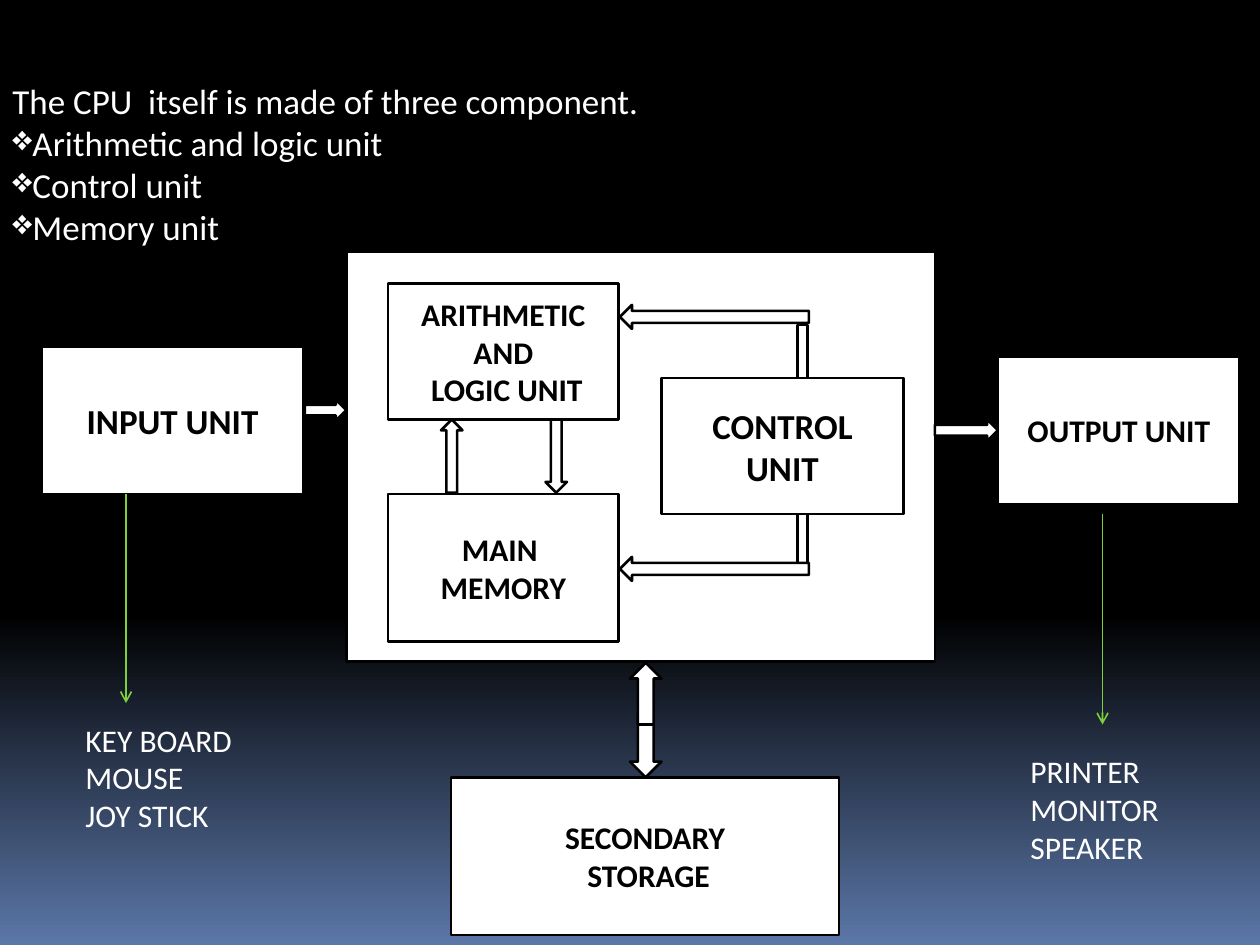
from lxml import etree
from pptx import Presentation
from pptx import util as u
from pptx.dml import color
from pptx.enum import shapes, text
from pptx.oxml import ns

COLORS = {"black": "000000", "white": "FFFFFF", "blue": "5B77A8", "green": "7FD13B"}
FONT = "Calibri"
RECT = shapes.MSO_SHAPE.RECTANGLE
DOWN = shapes.MSO_SHAPE.DOWN_ARROW
RIGHT = shapes.MSO_SHAPE.RIGHT_ARROW


def rgb(name):
    return color.RGBColor.from_string(COLORS[name])


def inches(*lengths):
    return [u.Inches(length) for length in lengths]


class Diagram:
    def __init__(self, page):
        self.page = page

    def background(self):
        fill = self.page.background.fill
        fill.gradient()
        fill.gradient_angle = 270
        for stop, name, position in zip(fill.gradient_stops, ("black", "blue"), (0.65, 1)):
            stop.color.rgb = rgb(name)
            stop.position = position

    def set_lines(self, frame, lines, size, ink, bold=False, align=None, bullets_from=None):
        for index, line in enumerate(lines):
            paragraph = frame.paragraphs[0] if index == 0 else frame.add_paragraph()
            paragraph.text = line
            paragraph.alignment = align
            font = paragraph.font
            font.name, font.size, font.bold = FONT, u.Pt(size), bold
            font.color.rgb = rgb(ink)
            if bullets_from is not None and index >= bullets_from:
                properties = paragraph._p.get_or_add_pPr()
                properties.set("marL", "0")
                properties.set("indent", "0")
                bullet = etree.Element(ns.qn("a:buChar"), char="❖")
                # A bullet must stand before the default run properties
                properties.insert_element_before(bullet, "a:defRPr")

    def label(self, at, lines, size, wrap=False, bullets_from=None):
        frame = self.page.shapes.add_textbox(*inches(*at)).text_frame
        frame.word_wrap = wrap
        frame.auto_size = text.MSO_AUTO_SIZE.SHAPE_TO_FIT_TEXT
        self.set_lines(frame, lines, size, "white", bullets_from=bullets_from)

    def block(self, at, kind=RECT, lines=(), size=18, rotation=0):
        shape = self.page.shapes.add_shape(kind, *inches(*at))
        shape.shadow.inherit = False
        shape.rotation = rotation
        shape.fill.solid()
        shape.fill.fore_color.rgb = rgb("white")
        shape.line.color.rgb = rgb("black")
        shape.line.width = u.Pt(1.5)
        frame = shape.text_frame
        frame.word_wrap = True
        frame.vertical_anchor = text.MSO_ANCHOR.MIDDLE
        self.set_lines(frame, lines, size, "black", True, text.PP_ALIGN.CENTER)

    def pointer(self, x, top, bottom):
        connector = self.page.shapes.add_connector(
            shapes.MSO_CONNECTOR.STRAIGHT, *inches(x, top, x, bottom))
        connector.line.color.rgb = rgb("green")
        connector.line.width = u.Pt(0.94)
        properties = connector._element.spPr
        etree.SubElement(properties.find(ns.qn("a:ln")), ns.qn("a:tailEnd"), type="arrow")
        etree.SubElement(properties, ns.qn("a:effectLst"))


def main():
    deck = Presentation()
    deck.slide_width, deck.slide_height = inches(10, 7.5)
    diagram = Diagram(deck.slides.add_slide(deck.slide_layouts[6]))
    diagram.background()

    # Introduction
    diagram.label((0, 0.58, 10, 1.45), [
        "The CPU  itself is made of three component.",
        "Arithmetic and logic unit", "Control unit", "Memory unit",
    ], 20, wrap=True, bullets_from=1)

    # Units, with the CPU frame behind its three parts
    for at, lines, size in [
        ((0.33, 2.75, 2.08, 1.17), ["INPUT UNIT"], 20),
        ((2.75, 2, 4.67, 3.25), [], 18),
        ((7.92, 2.83, 1.92, 1.17), ["OUTPUT UNIT"], 18),
        ((3.58, 6.17, 3.08, 1.25), ["SECONDARY", " STORAGE"], 18),
        ((3.08, 2.25, 1.83, 1.08), ["ARITHMETIC AND", " LOGIC UNIT"], 18),
        ((3.08, 3.92, 1.83, 1.17), ["MAIN  MEMORY"], 18),
        ((5.25, 3, 1.92, 1.08), ["CONTROL UNIT"], 20),
    ]:
        diagram.block(at, lines=lines, size=size)

    # Arrows between logic unit and memory
    diagram.block((4.33, 3.33, 0.17, 0.58), DOWN)
    diagram.block((3.5, 3.33, 0.17, 0.58), DOWN, rotation=180)

    # Arrows into and out of the CPU
    diagram.block((2.42, 3.17, 0.33, 0.17), RIGHT)
    diagram.block((7.42, 3.33, 0.5, 0.17), RIGHT)

    # Control unit: stems and the arrows they feed
    diagram.block((4.92, 2.42, 1.5, 0.19), RIGHT, rotation=180)
    for top in (2.58, 4.08):
        diagram.block((6.33, top, 0.08, 0.42))
    diagram.block((4.92, 4.42, 1.5, 0.19), RIGHT, rotation=180)

    # Two-way arrow to secondary storage
    diagram.block((5, 5.67, 0.25, 0.5), DOWN)
    diagram.block((4.88, 5.38, 0.49, 0.25), RIGHT, rotation=270)

    # Device examples
    diagram.pointer(1, 3.92, 5.58)
    diagram.label((0.58, 5.67, 1.5, 1.01), ["KEY BOARD", "MOUSE", "JOY STICK"], 18)
    diagram.pointer(8.75, 4.08, 5.75)
    diagram.label((8.08, 5.92, 1.3, 1.01), ["PRINTER", "MONITOR", "SPEAKER"], 18)

    deck.save("out.pptx")


if __name__ == "__main__":
    main()
